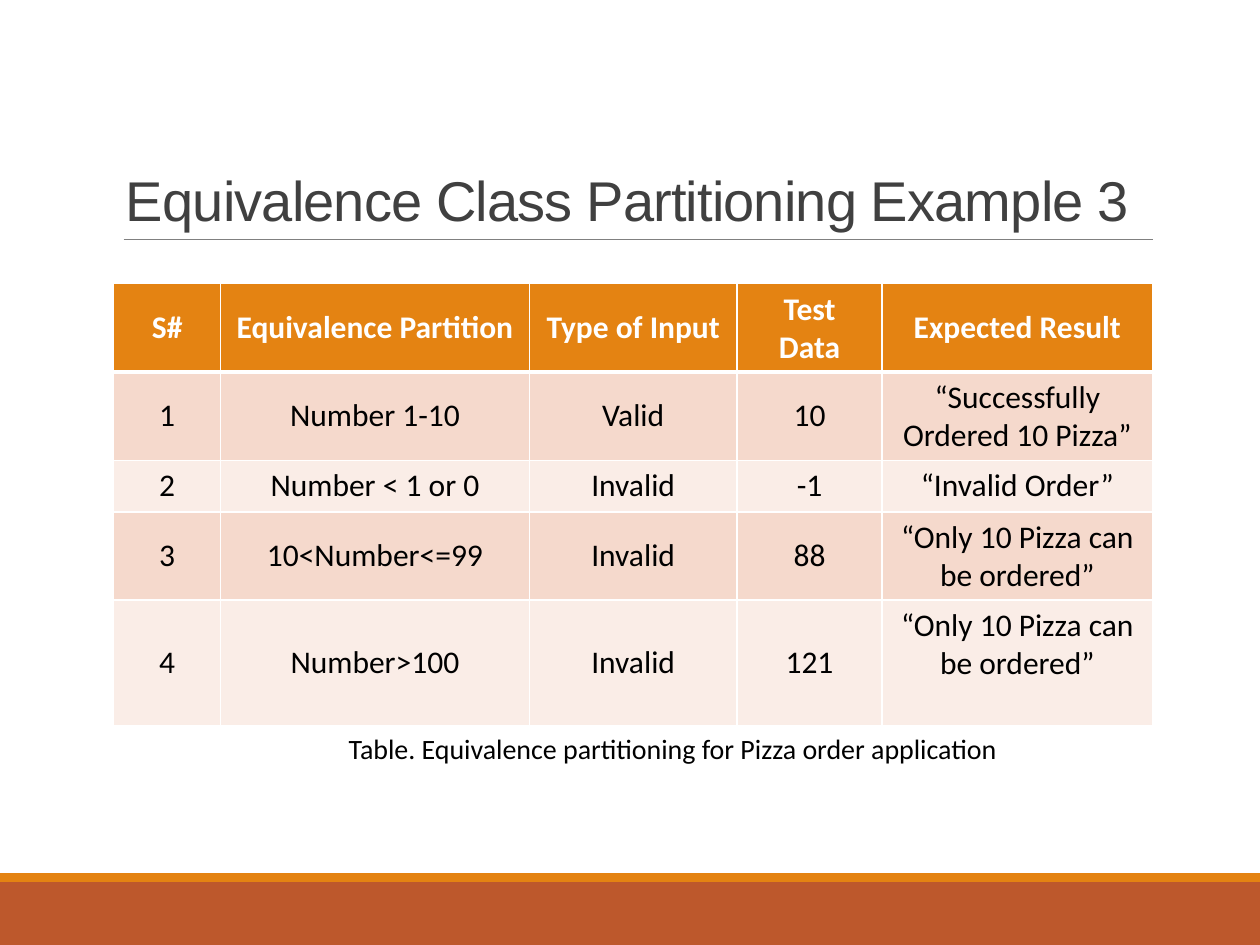
"""Build a slide with a table of equivalence partitions for a pizza order."""
import pptx
import pptx.dml.color
import pptx.enum.shapes
import pptx.enum.text
import pptx.oxml
import pptx.oxml.ns
import pptx.util

Cm = pptx.util.Cm
Pt = pptx.util.Pt
ANCHOR = pptx.enum.text.MSO_ANCHOR
ALIGN = pptx.enum.text.PP_ALIGN

ORANGE, RUST, WHITE, BLACK = "E48312", "BD582C", "FFFFFF", "000000"
BANDS = ("F5D9CC", "FAEDE7")
COLUMN_WIDTHS = (2.16, 6.22, 4.19, 2.92, 5.46)
ROW_HEIGHTS = (1.76, 1.77, 1.04, 1.77, 2.52)
ROWS = (
    ("S#", "Equivalence Partition", "Type of Input", "Test Data", "Expected Result"),
    ("1", "Number 1-10", "Valid", "10", "“Successfully Ordered 10 Pizza”"),
    ("2", "Number < 1 or 0", "Invalid", "-1", "“Invalid Order”"),
    ("3", "10<Number<=99", "Invalid", "88", "“Only 10 Pizza can be ordered”"),
    ("4", "Number>100", "Invalid", "121", "“Only 10 Pizza can be ordered”"),
)


def color(value):
    return pptx.dml.color.RGBColor.from_string(value)


def set_attributes(target, values):
    for name, value in values.items():
        setattr(target, name, value)


def write_text(text_frame, text, font, ink, paragraph_format):
    paragraph = text_frame.paragraphs[0]
    set_attributes(paragraph, paragraph_format)
    run = paragraph.add_run()
    run.text = text
    set_attributes(run.font, font)
    run.font.color.rgb = color(ink)
    return run


def add_band(slide, top, height, fill):
    shape = slide.shapes.add_shape(
        pptx.enum.shapes.MSO_SHAPE.RECTANGLE, 0, Cm(top), Cm(25.4), Cm(height))
    shape.shadow.inherit = False
    shape.fill.solid()
    shape.fill.fore_color.rgb = color(fill)
    shape.line.fill.background()


def add_rule(slide, left, right, height):
    connector = slide.shapes.add_connector(
        pptx.enum.shapes.MSO_CONNECTOR.STRAIGHT, Cm(left), Cm(height), Cm(right), Cm(height))
    connector.line.color.rgb = color("808080")
    connector.line.width = Pt(0.5)
    properties = connector._element.spPr
    properties.append(pptx.oxml.parse_xml(f"<a:effectLst {pptx.oxml.ns.nsdecls('a')}/>"))


def add_text(slide, box, text, font, ink, frame_format, paragraph_format):
    shape = slide.shapes.add_textbox(*map(Cm, box))
    set_attributes(shape.text_frame, frame_format)
    return write_text(shape.text_frame, text, font, ink, paragraph_format)


def set_borders(cell, widths):
    properties = cell._tc.get_or_add_tcPr()
    for index, (side, width) in enumerate(widths.items()):
        border = pptx.oxml.parse_xml(
            f'<a:ln{side} {pptx.oxml.ns.nsdecls("a")} w="{Pt(width)}">'
            f'<a:solidFill><a:srgbClr val="{WHITE}"/></a:solidFill></a:ln{side}>')
        properties.insert(index, border)


def add_partition_table(slide):
    frame = slide.shapes.add_table(
        len(ROWS), len(COLUMN_WIDTHS), Cm(2.29), Cm(5.72),
        Cm(sum(COLUMN_WIDTHS)), Cm(sum(ROW_HEIGHTS)))
    table = frame.table
    for column, width in zip(table.columns, COLUMN_WIDTHS):
        column.width = Cm(width)
    for index, (row, height, texts) in enumerate(zip(table.rows, ROW_HEIGHTS, ROWS)):
        row.height = Cm(height)
        header = index == 0
        font = {"name": "Calibri", "size": Pt(18), "bold": header}
        widths = {"L": 1, "R": 1, "T": 3 if index == 1 else 1, "B": 3 if header else 1}
        for cell, text in zip(row.cells, texts):
            cell.vertical_anchor = ANCHOR.MIDDLE
            cell.fill.solid()
            cell.fill.fore_color.rgb = color(ORANGE if header else BANDS[(index - 1) % 2])
            set_borders(cell, widths)
            write_text(cell.text_frame, text, font, WHITE if header else BLACK,
                       {"alignment": ALIGN.CENTER})
    table.cell(len(ROWS) - 1, len(COLUMN_WIDTHS) - 1).margin_bottom = Cm(0.88)


def main():
    presentation = pptx.Presentation()
    set_attributes(presentation, {"slide_width": Cm(25.4), "slide_height": Cm(19.05)})
    slide = presentation.slides.add_slide(presentation.slide_layouts[6])
    add_band(slide, 17.78, 1.27, RUST)
    add_band(slide, 17.6, 0.18, ORANGE)
    add_rule(slide, 2.49, 23.24, 4.83)
    title = add_text(
        slide, (2.29, 0.79, 20.96, 4.04), "Equivalence Class Partitioning Example 3",
        {"name": "Arial", "size": Pt(32)}, "404040",
        {"word_wrap": True, "vertical_anchor": ANCHOR.BOTTOM}, {"line_spacing": 0.85})
    title.font._element.set("spc", "-50")
    add_text(
        slide, (6.78, 14.63, 13.92, 0.94),
        "Table. Equivalence partitioning for Pizza order application",
        {"name": "Calibri", "size": Pt(16)}, BLACK,
        {"word_wrap": False, "auto_size": pptx.enum.text.MSO_AUTO_SIZE.SHAPE_TO_FIT_TEXT}, {})
    add_partition_table(slide)
    presentation.save("out.pptx")


if __name__ == "__main__":
    main()
